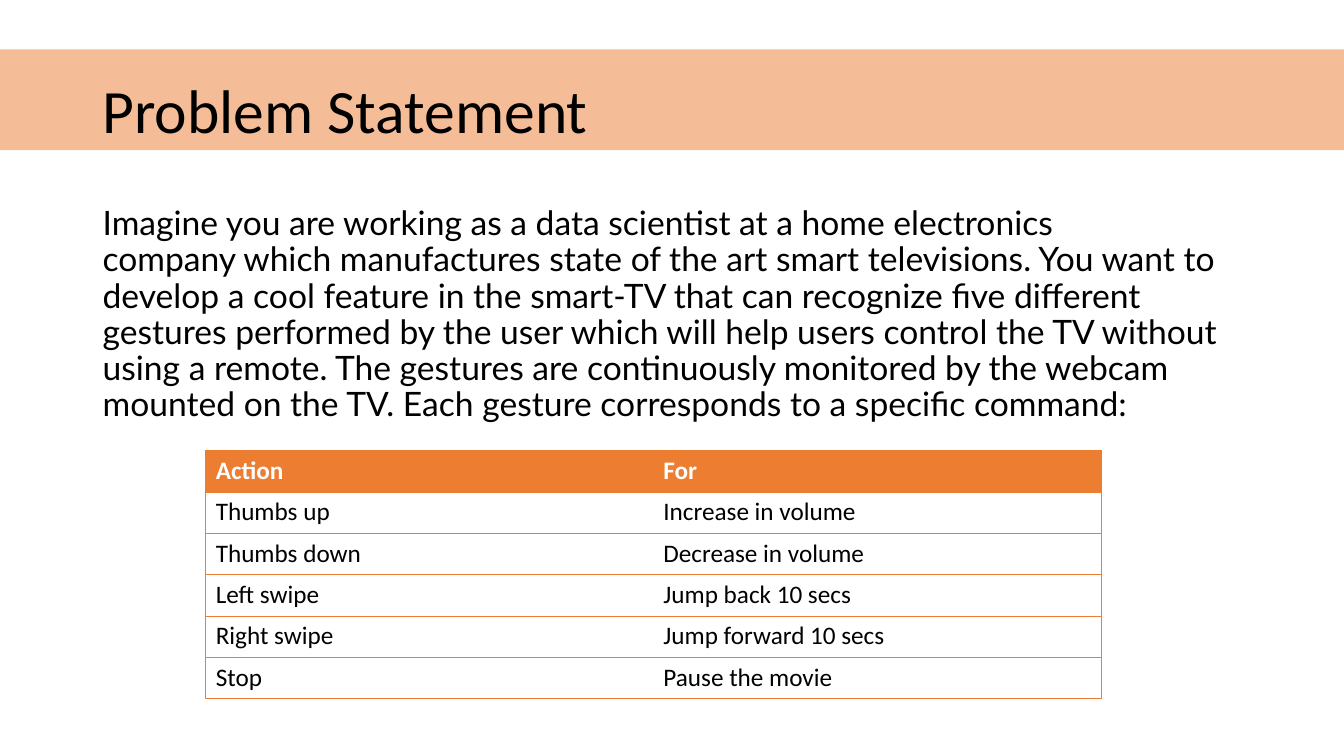
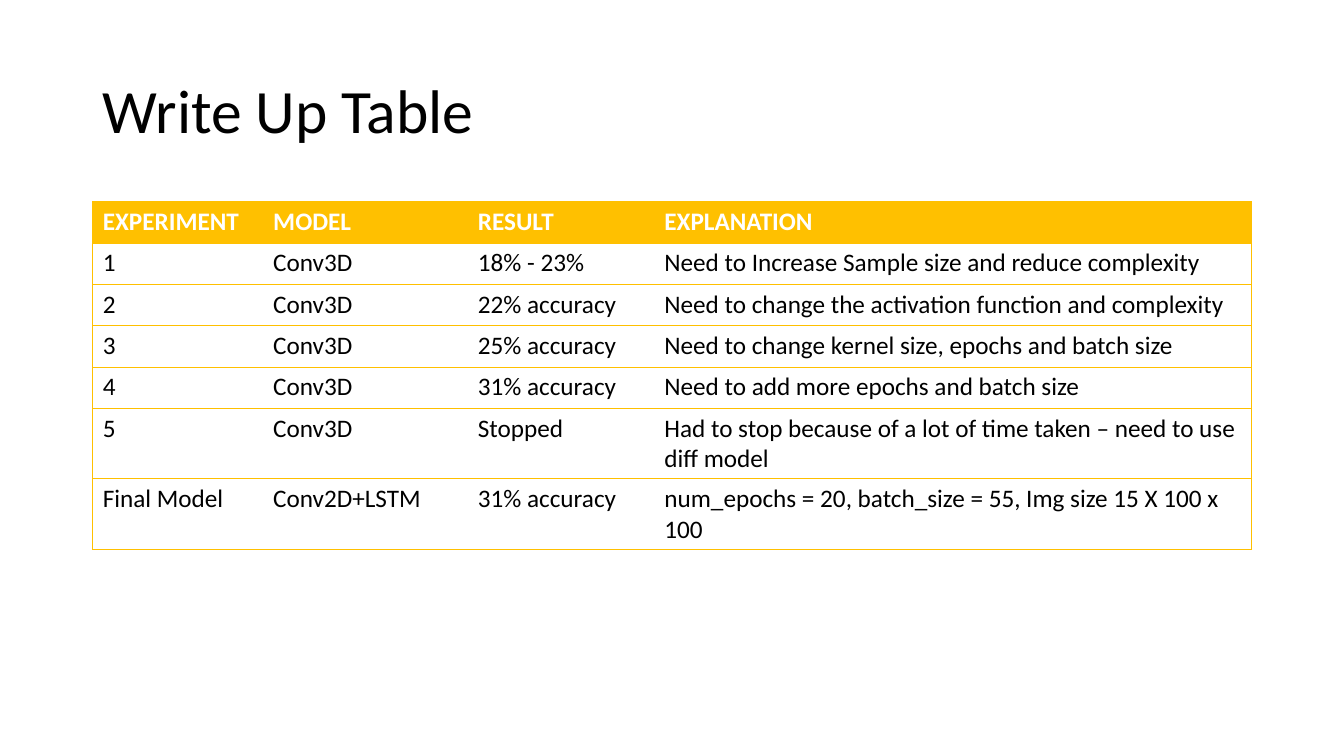
import pptx
import pptx.util
import pptx.dml.color
import pptx.enum.shapes
import pptx.enum.text
import pptx.oxml
import pptx.oxml.ns
from pptx.util import Inches

ORANGE = "ED7D31"
GOLD = "FFC000"
BLACK = "000000"
WHITE = "FFFFFF"


def rgb(color):
    return pptx.dml.color.RGBColor.from_string(color)


class Deck:
    font = "Calibri"
    body_font = "Lato"
    left, width = 0.92, 11.5
    row_height = 0.41

    def __init__(self):
        self.prs = pptx.Presentation()
        self.prs.slide_width = Inches(13.33)
        self.prs.slide_height = Inches(7.5)
        self.s = None

    def slide(self, title):
        self.s = self.prs.slides.add_slide(self.prs.slide_layouts[6])
        self.title = title

    def run(self, p, text, size, color=BLACK, font=None, bold=False):
        r = p.add_run()
        r.text = text
        r.font.size = pptx.util.Pt(size)
        r.font.name = font or self.font
        r.font.bold = bold
        r.font.color.rgb = rgb(color)

    def text(self, text, top, height, size, font=None, before=0, anchor="TOP"):
        sp = self.s.shapes.add_textbox(
            Inches(self.left), Inches(top), Inches(self.width), Inches(height))
        tf = sp.text_frame
        tf.word_wrap = True
        tf.vertical_anchor = pptx.enum.text.MSO_ANCHOR[anchor]
        p = tf.paragraphs[0]
        p.line_spacing = 0.9
        p.space_before = pptx.util.Pt(before)
        self.run(p, text, size, font=font)

    def heading(self):
        self.text(self.title, 0.4, 1.45, 44, anchor="MIDDLE")

    def body(self, text):
        self.text(text, 2, 4.76, 24, self.body_font, before=10)

    def band(self, color, top, height, opacity):
        sp = self.s.shapes.add_shape(
            pptx.enum.shapes.MSO_SHAPE.RECTANGLE, 0, Inches(top),
            self.prs.slide_width, Inches(height))
        sp.shadow.inherit = False
        sp.line.fill.background()
        sp.fill.solid()
        sp.fill.fore_color.rgb = rgb(color)
        clr = sp.fill._xPr.find(".//" + pptx.oxml.ns.qn("a:srgbClr"))
        clr.append(pptx.oxml.parse_xml(
            f'<a:alpha {pptx.oxml.ns.nsdecls("a")} val="{opacity * 1000}"/>'))

    def borders(self, cell, color, first, last):
        visible = {"L": first, "R": last, "T": True, "B": True}
        tcPr = cell._tc.get_or_add_tcPr()
        for i, (side, shown) in enumerate(visible.items()):
            fill = (f'<a:solidFill><a:srgbClr val="{color}"/></a:solidFill>'
                    if shown else "<a:noFill/>")
            tcPr.insert(i, pptx.oxml.parse_xml(
                f'<a:ln{side} {pptx.oxml.ns.nsdecls("a")} w="6350">{fill}</a:ln{side}>'))

    def table(self, rows, left, top, widths, color):
        frame = self.s.shapes.add_table(
            len(rows), len(widths), Inches(left), Inches(top),
            Inches(sum(widths)), Inches(self.row_height * len(rows)))
        table = frame.table
        table.horz_banding = False
        for column, width in zip(table.columns, widths):
            column.width = Inches(width)
        for i, values in enumerate(rows):
            table.rows[i].height = Inches(self.row_height)
            header = i == 0
            for j, value in enumerate(values):
                cell = table.cell(i, j)
                cell.fill.solid()
                cell.fill.fore_color.rgb = rgb(color if header else WHITE)
                self.borders(cell, color, j == 0, j == len(widths) - 1)
                self.run(cell.text_frame.paragraphs[0], value, 18,
                         WHITE if header else BLACK, bold=header)


deck = Deck()

deck.slide("Problem Statement")
deck.band(ORANGE, 0.49, 1, 50)
deck.heading()
deck.body(
    "Imagine you are working as a data scientist at a\u00a0home electronics "
    "company\u00a0which manufactures state of the art\u00a0smart televisions. "
    "You want to develop a cool feature in the smart-TV\u00a0that can\u00a0recognize "
    "five different gestures\u00a0performed by the user which will help users control "
    "the\u00a0TV without using a remote. The gestures are continuously monitored by "
    "the webcam mounted on the TV. Each gesture corresponds to a specific command:")
gestures = [
    ("Action", "For"),
    ("Thumbs up", "Increase in volume"),
    ("Thumbs down", "Decrease in volume"),
    ("Left swipe", "Jump back 10 secs"),
    ("Right swipe", "Jump forward 10 secs"),
    ("Stop", "Pause the movie"),
]
deck.table(gestures, 2.04, 4.47, [4.44, 4.44], ORANGE)

deck.slide("Write Up Table")
deck.heading()
experiments = [
    ("EXPERIMENT", "MODEL", "RESULT", "EXPLANATION"),
    ("1", "Conv3D", "18% - 23%", "Need to Increase Sample size and reduce complexity"),
    ("2", "Conv3D", "22% accuracy", "Need to change the activation function and complexity"),
    ("3", "Conv3D", "25% accuracy", "Need to change kernel size, epochs and batch size"),
    ("4", "Conv3D", "31% accuracy", "Need to add more epochs and batch size"),
    ("5", "Conv3D", "Stopped",
     "Had to stop because of a lot of time taken \u2013 need to use diff model"),
    ("Final Model", "Conv2D+LSTM", "31% accuracy",
     "num_epochs = 20, batch_size = 55, Img size 15 X 100 x 100"),
]
deck.table(experiments, deck.left, 2, [1.69, 2.03, 1.85, 5.92], GOLD)

deck.prs.save("out.pptx")
